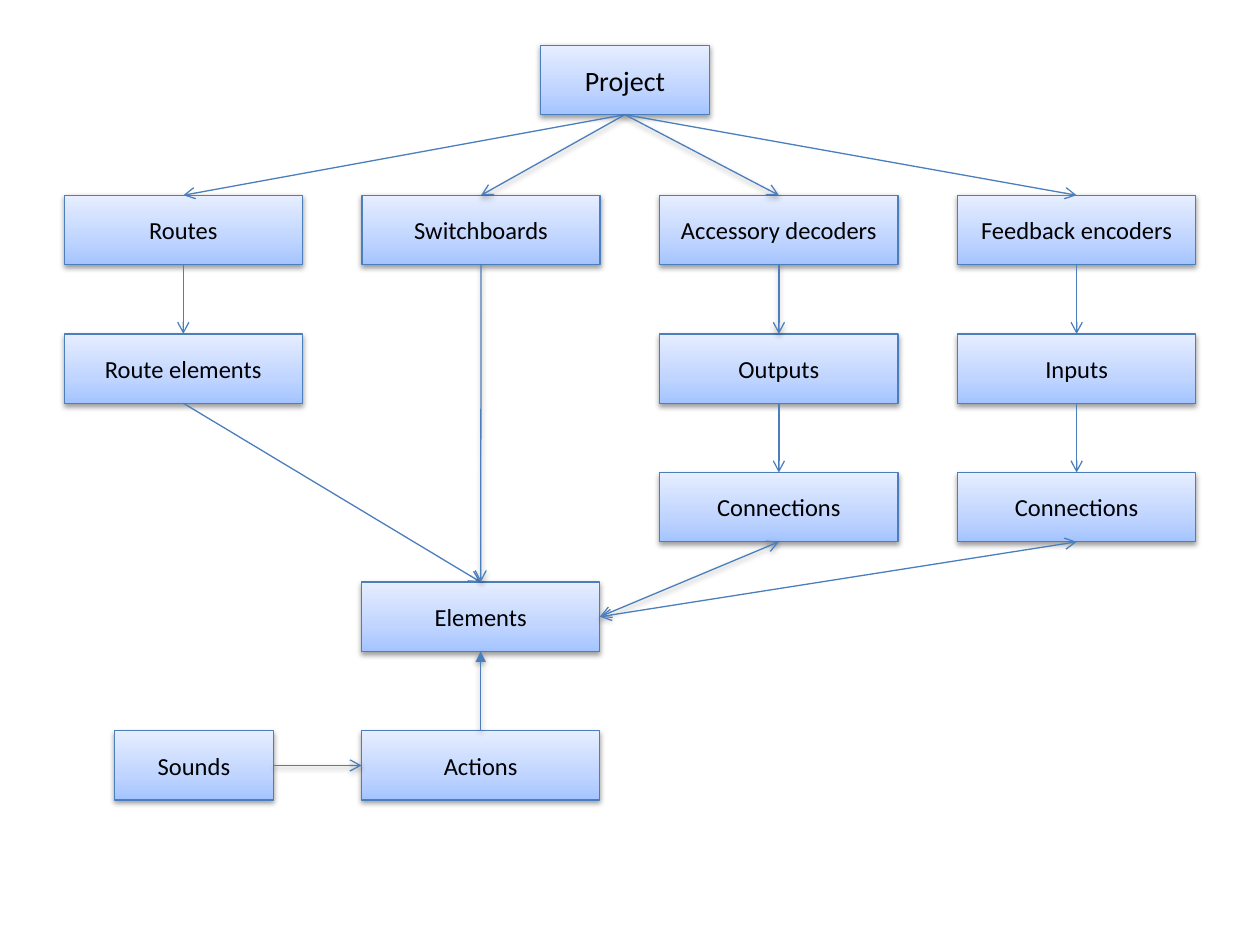
from copy import deepcopy
from lxml.etree import SubElement
from pptx import Presentation
from pptx.dml.color import RGBColor
from pptx.enum.shapes import MSO_CONNECTOR, MSO_SHAPE
from pptx.enum.text import MSO_ANCHOR, PP_ALIGN
from pptx.oxml import parse_xml
from pptx.oxml.ns import nsdecls, qn
from pptx.util import Inches, Pt

BLUE, BLACK = "4B7EBC", "000000"
STOPS = ((0, "A4C4FF"), (0.35, "BFD4FF"), (1, "E6EEFF"))
WIDE, HIGH = 1.89, 0.55
TOP, LEFT, BOTTOM, RIGHT = range(4)  # connection sites of a rectangle


def paint(color, code):
    color.rgb = RGBColor.from_string(code)


def edge(item, shade):
    """Set the outline, then a soft shadow or none."""
    item.line.width = Pt(0.75)
    item.line.fill.solid()
    paint(item.line.color, BLUE)
    drop = (
        '<a:outerShdw blurRad="40000" dist="20000" dir="5400000" rotWithShape="0">'
        f'<a:srgbClr val="{BLACK}"><a:alpha val="38000"/></a:srgbClr></a:outerShdw>'
    )
    item._element.spPr.append(parse_xml(
        f'<a:effectLst {nsdecls("a")}>{drop if shade else ""}</a:effectLst>'))


def blend(shape):
    """Fill with three colours, rising from the bottom."""
    shape.fill.gradient()
    shape.fill.gradient_angle = 90
    first = shape._element.spPr.find(".//" + qn("a:gs"))
    first.addnext(deepcopy(first))
    for stop, (place, code) in zip(shape.fill.gradient_stops, STOPS):
        stop.position = place
        paint(stop.color, code)


def node(slide, text, left, top, width=WIDE, size=14):
    shape = slide.shapes.add_shape(
        MSO_SHAPE.RECTANGLE, *map(Inches, (left, top, width, HIGH)))
    blend(shape)
    edge(shape, True)
    frame = shape.text_frame
    frame.word_wrap = True
    frame.vertical_anchor = MSO_ANCHOR.MIDDLE
    para = frame.paragraphs[0]
    para.text = text
    para.alignment = PP_ALIGN.CENTER
    para.font.name = "Calibri"
    para.font.size = Pt(size)
    paint(para.font.color, BLACK)
    return shape


def link(slide, start, end, sites=(BOTTOM, TOP), shade=False, head=None, tail="arrow"):
    line = slide.shapes.add_connector(MSO_CONNECTOR.STRAIGHT, 0, 0, 0, 0)
    line.begin_connect(start, sites[0])
    line.end_connect(end, sites[1])
    edge(line, shade)
    for tag, kind in (("a:headEnd", head), ("a:tailEnd", tail)):
        if kind:
            SubElement(line.line._ln, qn(tag), type=kind)


def tree(slide, left, top, width):
    """Project at the top, with a column of parts below each branch."""
    step = (width - WIDE) / 3
    root = node(slide, "Project", left + 3.78, top, 1.34, 16)
    columns = (
        ("Routes", "Route elements"),
        ("Switchboards",),
        ("Accessory decoders", "Outputs", "Connections"),
        ("Feedback encoders", "Inputs", "Connections"),
    )
    ends = []
    for col, names in enumerate(columns):
        last = root
        for row, name in enumerate(names):
            item = node(slide, name, left + col * step, top + 1.19 + row * 1.1)
            link(slide, last, item, shade=(col, row) in ((1, 0), (2, 0), (2, 1)))
            last = item
        ends.append(last)
    return ends


def base(slide, left, top, ends):
    """Elements, fed by the column ends and by the actions below."""
    part = node(slide, "Elements", left + 1.96, top)
    act = node(slide, "Actions", left + 1.96, top + 1.18)
    sound = node(slide, "Sounds", left, top + 1.18, 1.26)
    route, board, *wires = ends
    link(slide, route, part)
    link(slide, board, part, shade=True)
    for wire, shade in zip(wires, (True, False)):
        link(slide, wire, part, (BOTTOM, RIGHT), shade, head="arrow")
    link(slide, act, part, (TOP, BOTTOM), True, tail="triangle")
    link(slide, sound, act, (RIGHT, LEFT), True)


deck = Presentation()
deck.slide_width, deck.slide_height = Inches(10), Inches(7.5)
page = deck.slides.add_slide(deck.slide_layouts[6])
base(page, 0.91, 4.62, tree(page, 0.51, 0.36, 8.98))
deck.save("out.pptx")
